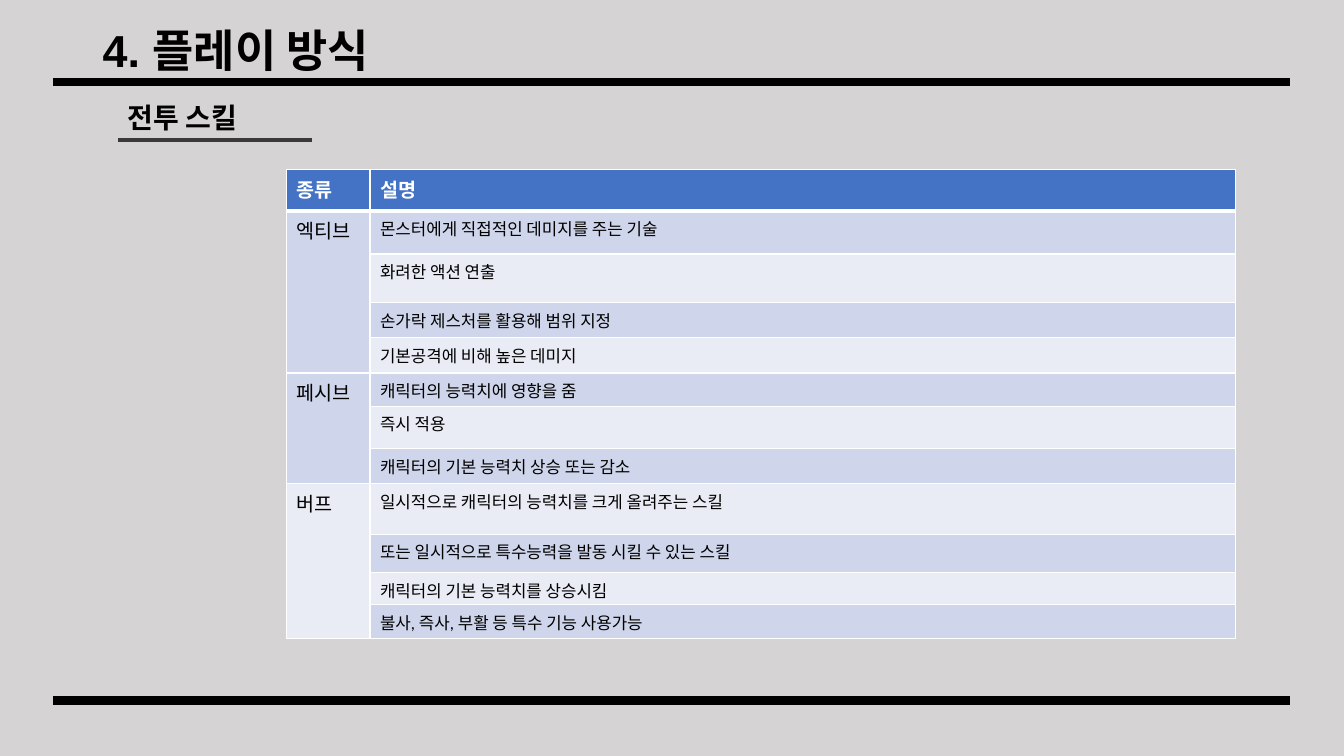
"""Build the combat skill slide with its table of skill types."""
from lxml.etree import SubElement
from pptx import Presentation
from pptx.dml.color import RGBColor
from pptx.enum.shapes import MSO_CONNECTOR as Connector
from pptx.enum.text import MSO_ANCHOR as Anchor, MSO_AUTO_SIZE as AutoSize, PP_ALIGN as Align
from pptx.oxml.ns import qn
from pptx.util import Pt

TITLE = "4. 플레이 방식"
SUBTITLE = "전투 스킬"
HEADINGS = ["종류", "설명"]
SKILLS = [
    ("엑티브", [
        ("몬스터에게 직접적인 데미지를 주는 기술", 31),
        ("화려한 액션 연출", 34.6),
        ("손가락 제스처를 활용해 범위 지정", 25.2),
        ("기본공격에 비해 높은 데미지", 25.2),
    ]),
    ("페시브", [
        ("캐릭터의 능력치에 영향을 줌", 23.8),
        ("즉시 적용", 30.2),
        ("캐릭터의 기본 능력치 상승 또는 감소", 25.2),
    ]),
    ("버프", [
        ("일시적으로 캐릭터의 능력치를 크게 올려주는 스킬", 36),
        ("또는 일시적으로 특수능력을 발동 시킬 수 있는 스킬", 27.4),
        ("캐릭터의 기본 능력치를 상승시킴", 23),
        ("불사, 즉사, 부활 등 특수 기능 사용가능", 23.8),
    ]),
]
HEADER_HEIGHT = 29.5
COLUMN_WIDTHS = [59.8, 618.2]
TABLE_LEFT, TABLE_TOP = 204.5, 121
RULES = [
    (38.2, 921.6, 58.5, 6, "black"),
    (38.2, 921.6, 500.4, 6, "black"),
    (84.2, 223.2, 100, 2.75, "underline"),
]
COLORS = {
    "background": "D5D3D3",
    "black": "000000",
    "white": "FFFFFF",
    "underline": "3B3838",
    "header": "4472C4",
    "dark band": "CFD5EA",
    "light band": "E9EBF5",
}


def color(name):
    return RGBColor.from_string(COLORS[name])


def write(frame, text, size, ink="black", bold=False, font="Calibri"):
    line = frame.paragraphs[0]
    line.text = text
    line.alignment = Align.LEFT
    line.font.name, line.font.size, line.font.bold = font, Pt(size), bold
    line.font.color.rgb = color(ink)
    return line


def add_rule(slide, left, right, y, weight, ink):
    rule = slide.shapes.add_connector(Connector.STRAIGHT, Pt(left), Pt(y), Pt(right), Pt(y))
    rule.line.width = Pt(weight)
    rule.line.color.rgb = color(ink)
    SubElement(rule._element.spPr, qn("a:effectLst"))


def style_cell(cell, fill, top=1, bottom=1):
    properties = cell._tc.get_or_add_tcPr()
    for side, weight in zip("LRTB", (1, 1, top, bottom)):
        border = SubElement(properties, qn(f"a:ln{side}"), w=str(Pt(weight)))
        solid = SubElement(border, qn("a:solidFill"))
        SubElement(solid, qn("a:srgbClr"), val=COLORS["white"])
    cell.fill.solid()
    cell.fill.fore_color.rgb = color(fill)


def add_skill_table(slide):
    heights = [HEADER_HEIGHT] + [height for _, effects in SKILLS for _, height in effects]
    table = slide.shapes.add_table(
        len(heights), len(COLUMN_WIDTHS), Pt(TABLE_LEFT), Pt(TABLE_TOP),
        Pt(sum(COLUMN_WIDTHS)), Pt(sum(heights))).table
    for column, width in zip(table.columns, COLUMN_WIDTHS):
        column.width = Pt(width)
    for row, height in zip(table.rows, heights):
        row.height = Pt(height)

    for column, heading in enumerate(HEADINGS):
        style_cell(table.cell(0, column), "header", bottom=3)
        write(table.cell(0, column).text_frame, heading, 14, "white", True)

    first = 1
    for kind, effects in SKILLS:
        group_band = "dark band" if first % 2 else "light band"
        for row, (effect, _) in enumerate(effects, first):
            top = 3 if row == 1 else 1
            style_cell(table.cell(row, 0), group_band, top)
            style_cell(table.cell(row, 1), "dark band" if row % 2 else "light band", top)
            write(table.cell(row, 1).text_frame, effect, 12)
        table.cell(first, 0).merge(table.cell(first + len(effects) - 1, 0))
        write(table.cell(first, 0).text_frame, kind, 14)
        first += len(effects)


def main():
    deck = Presentation()
    deck.slide_width, deck.slide_height = Pt(960), Pt(540)
    slide = deck.slides.add_slide(deck.slide_layouts[5])
    slide.background.fill.solid()
    slide.background.fill.fore_color.rgb = color("background")

    for rule in RULES:
        add_rule(slide, *rule)

    title = slide.shapes.title
    title.left, title.top, title.width, title.height = Pt(66.2), Pt(15.8), Pt(828), Pt(44.6)
    title.text_frame.auto_size = AutoSize.NONE
    title.text_frame.vertical_anchor = Anchor.MIDDLE
    write(title.text_frame, TITLE, 32, bold=True, font="Arial").line_spacing = 0.9

    subtitle = slide.shapes.add_textbox(Pt(84.2), Pt(68.4), Pt(100), Pt(31.6)).text_frame
    subtitle.word_wrap = False
    subtitle.auto_size = AutoSize.SHAPE_TO_FIT_TEXT
    write(subtitle, SUBTITLE, 20, bold=True)

    add_skill_table(slide)
    deck.save("out.pptx")


if __name__ == "__main__":
    main()
